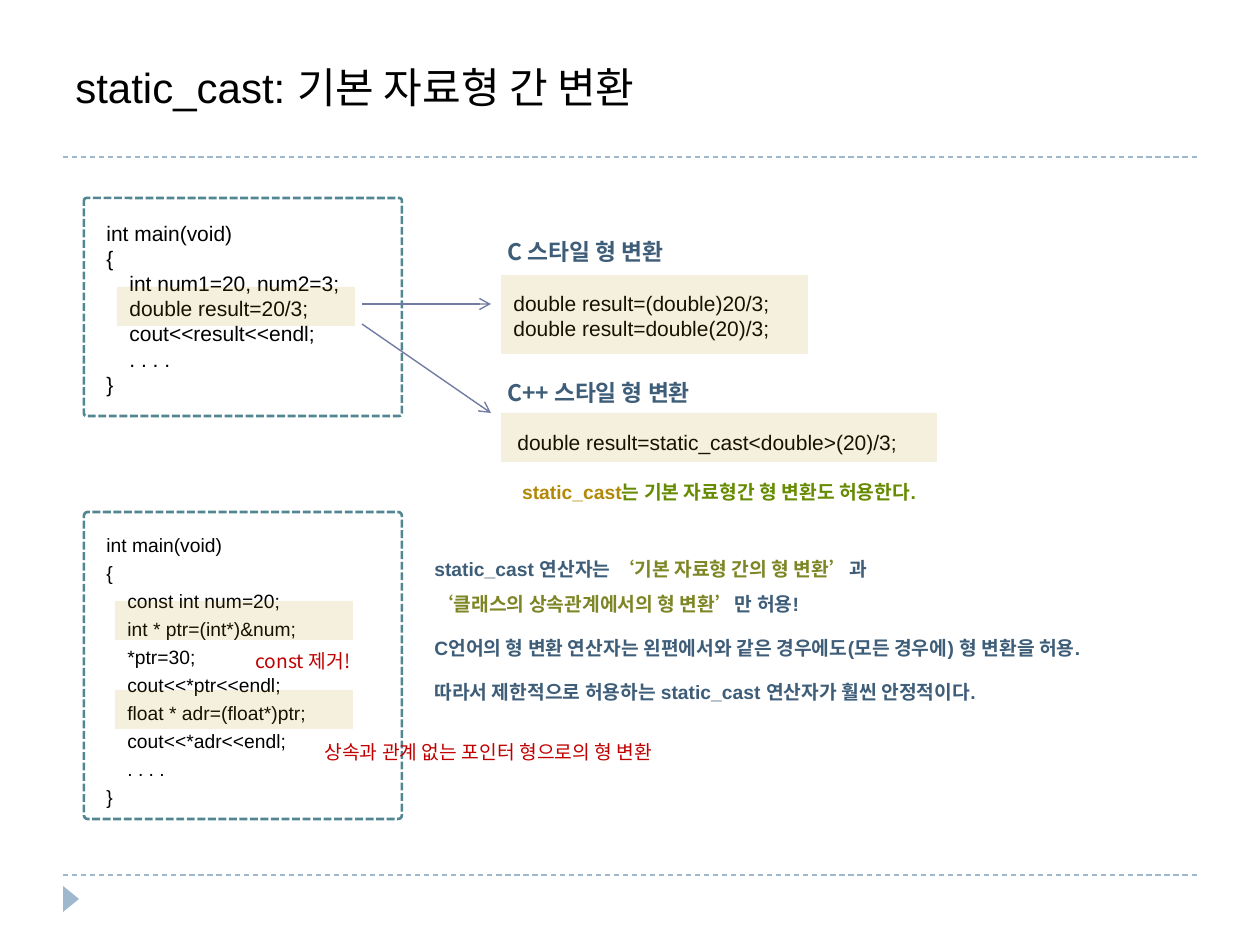
from lxml import etree
from pptx import Presentation
from pptx import util as u
from pptx.dml.color import RGBColor
from pptx.enum import dml, shapes, text
from pptx.oxml.ns import qn

color = RGBColor.from_string
SCALE = 914400 / 126
KOREAN = "Noto Sans CJK KR"
BLACK, NAVY, OLIVE, GREEN, GOLD, RED = "000000", "3E5D78", "7D8525", "668A00", "B38807", "C00000"
RULE, ARROW, FRAME = "9FB8CD", "727CA3", "528693"


def emu(*lengths):
    return [round(length * SCALE) for length in lengths]


def write(place, paragraphs, size=11, font="Arial", bold=False, leading=None, before=(),
          indent=0, align=text.PP_ALIGN.LEFT, anchor=text.MSO_ANCHOR.TOP, wrap=True):
    box = page.shapes.add_textbox(*emu(*place))
    frame = box.text_frame
    frame.word_wrap = wrap
    frame.vertical_anchor = anchor
    for index, spans in enumerate(paragraphs):
        para = frame.paragraphs[0] if index == 0 else frame.add_paragraph()
        para.alignment = align
        if leading:
            para.line_spacing = u.Pt(leading[index % len(leading)])
        if before:
            para.space_before = u.Pt(before[index])
        if indent and 1 < index < len(paragraphs) - 1:
            properties = para._p.get_or_add_pPr()
            properties.set("marL", str(emu(indent)[0]))
            properties.set("indent", "0")
        for words, tint in spans:
            span = para.add_run()
            span.text = words
            span.font.size = u.Pt(size)
            span.font.name = font
            span.font.bold = bold
            span.font.color.rgb = color(tint)
            etree.SubElement(span._r.get_or_add_rPr(), qn("a:ea"), typeface=KOREAN)


deck = Presentation()
deck.slide_width, deck.slide_height = emu(1260, 945)
page = deck.slides.add_slide(deck.slide_layouts[6])

marker = page.shapes.add_shape(shapes.MSO_SHAPE.ISOSCELES_TRIANGLE, *emu(58, 891, 26, 16))
marker.rotation = 90
marker.shadow.inherit = False
marker.fill.solid()
marker.fill.fore_color.rgb = color(RULE)
marker.line.fill.background()

write((63, 21, 1134, 97), [[("static_cast: 기본 자료형 간 변환", BLACK)]], size=24,
      leading=[28.8], anchor=text.MSO_ANCHOR.BOTTOM)

division_code = ["int main(void)", "{", "int num1=20, num2=3;", "double result=20/3;",
                 "cout<<result<<endl;", ". . . .", "}"]
pointer_code = ["int main(void)", "{", "const int num=20;", "int * ptr=(int*)&num;", "*ptr=30;",
                "cout<<*ptr<<endl;", "float * adr=(float*)ptr;", "cout<<*adr<<endl;", ". . . .", "}"]
c_code = ["double result=(double)20/3;", "double result=double(20)/3;"]
cpp_code = ["double result=static_cast<double>(20)/3;"]
for place, lines, size, leading, indent, wrap in [
    ((94, 214, 297, 190), division_code, 12, 14.4, 23, True),
    ((94, 522, 318, 292), pointer_code, 11, 16, 21, True),
    ((501, 284, 318, 63), c_code, 12, 14.4, 0, True),
    ((505, 423, 422, 38), cpp_code, 12, 14.4, 0, False),
]:
    write(place, [[(line, BLACK)] for line in lines], size=size, leading=[leading],
          indent=indent, wrap=wrap)

for place in [(117, 287, 238, 39), (501, 275, 307, 79), (501, 413, 436, 49),
              (115, 601, 238, 39), (115, 690, 238, 39)]:
    highlight = page.shapes.add_shape(shapes.MSO_SHAPE.RECTANGLE, *emu(*place))
    highlight.shadow.inherit = False
    highlight.line.fill.background()
    highlight.fill.solid()
    highlight.fill.fore_color.rgb = color(GOLD)
    tint = highlight._element.spPr.find(".//" + qn("a:srgbClr"))
    etree.SubElement(tint, qn("a:alpha"), val="13000")

for top, height in [(198, 218), (512, 307)]:
    border = page.shapes.add_shape(shapes.MSO_SHAPE.ROUNDED_RECTANGLE, *emu(84, top, 318, height))
    border.adjustments[0] = 0.012
    border.shadow.inherit = False
    border.fill.background()
    border.line.color.rgb = color(FRAME)
    border.line.width = u.Pt(1.5)
    border.line.dash_style = dml.MSO_LINE.SQUARE_DOT

for ends, tint, width, is_arrow in [
    ((63, 157, 1197, 157), RULE, 0.75, False),
    ((63, 875, 1197, 875), RULE, 0.75, False),
    ((362, 304, 491, 304), ARROW, 0.79, True),
    ((362, 324, 491, 413), ARROW, 0.79, True),
]:
    line = page.shapes.add_connector(shapes.MSO_CONNECTOR.STRAIGHT, *emu(*ends))
    line.line.color.rgb = color(tint)
    line.line.width = u.Pt(width)
    if is_arrow:
        etree.SubElement(line.line._get_or_add_ln(), qn("a:tailEnd"), type="arrow")
    else:
        line.line.dash_style = dml.MSO_LINE.DASH
    etree.SubElement(line._element.spPr, qn("a:effectLst"))

for place, heading in [((495, 224, 238, 54), "C 스타일 형 변환"),
                       ((495, 365, 297, 54), "C++ 스타일 형 변환")]:
    write(place, [[(heading, NAVY)]], size=13, font=KOREAN, bold=True,
          anchor=text.MSO_ANCHOR.MIDDLE)

write((491, 462, 456, 48), [[("static_cast", GOLD), ("는 기본 자료형간 형 변환도 허용한다.", GREEN)]],
      bold=True, leading=[20], align=text.PP_ALIGN.CENTER)

explanation = [
    [("static_cast 연산자는 ", NAVY), ("‘기본 자료형 간의 형 변환’", OLIVE), ("과", NAVY)],
    [("‘클래스의 상속관계에서의 형 변환’", OLIVE), ("만 허용!", NAVY)],
    [("C언어의 형 변환 연산자는 왼편에서와 같은 경우에도(모든 경우에) 형 변환을 허용.", NAVY)],
    [("따라서 제한적으로 허용하는 static_cast 연산자가 훨씬 안정적이다.", NAVY)],
]
write((422, 551, 753, 160), explanation, bold=True, leading=[13.2, 20, 13.2, 13.2],
      before=[0, 0, 12, 12])

for place, remark in [((243, 630, 168, 50), "const 제거!"),
                      ((312, 721, 407, 50), "상속과 관계 없는 포인터 형으로의 형 변환")]:
    write(place, [[(remark, RED)]], font=KOREAN, leading=[20], anchor=text.MSO_ANCHOR.MIDDLE)

deck.save("out.pptx")
